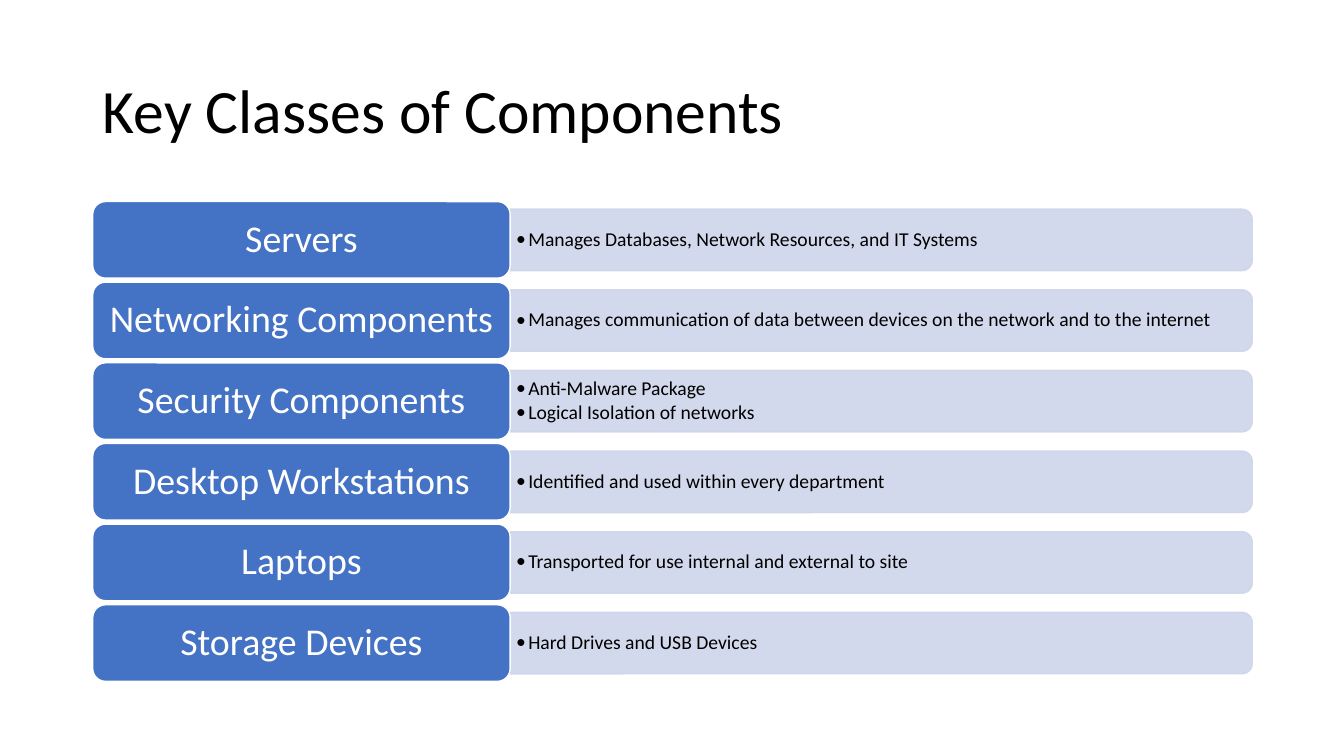
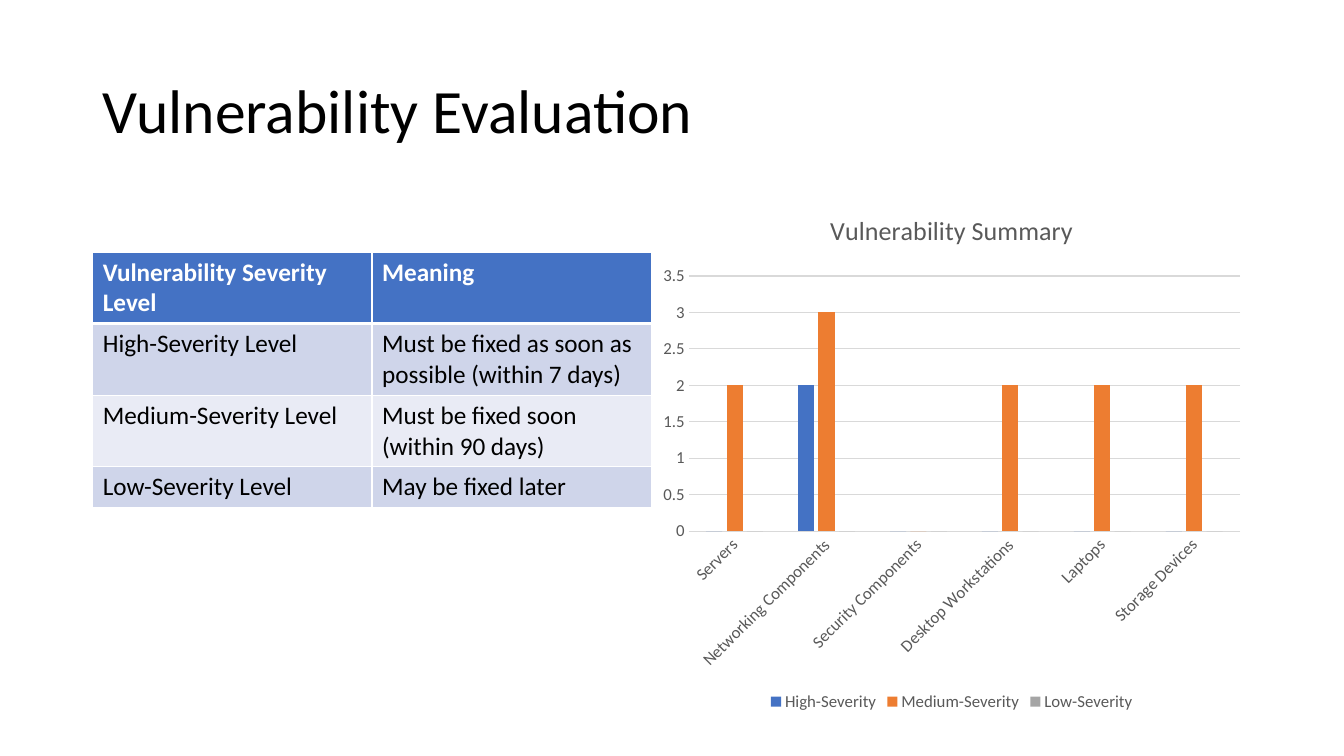
from dataclasses import dataclass

from lxml.etree import SubElement
from pptx import Presentation
from pptx.chart.data import CategoryChartData
from pptx.dml.color import RGBColor
from pptx.enum.chart import XL_CHART_TYPE as ChartType, XL_LEGEND_POSITION as LegendPosition
from pptx.enum.chart import XL_TICK_MARK as TickMark
from pptx.enum.shapes import MSO_SHAPE as Preset
from pptx.enum.text import MSO_ANCHOR as Anchor, PP_ALIGN as Align
from pptx.oxml.ns import qn
from pptx.util import Inches, Pt


@dataclass(frozen=True)
class Theme:
    font: str = "Calibri"
    black: RGBColor = RGBColor.from_string("000000")
    white: RGBColor = RGBColor.from_string("FFFFFF")
    blue: RGBColor = RGBColor.from_string("4472C4")
    orange: RGBColor = RGBColor.from_string("ED7D31")
    gray: RGBColor = RGBColor.from_string("A5A5A5")
    band: RGBColor = RGBColor.from_string("CFD5EA")
    pale_band: RGBColor = RGBColor.from_string("E9EBF5")
    chart_text: RGBColor = RGBColor.from_string("595959")
    chart_line: RGBColor = RGBColor.from_string("D9D9D9")
    title_size: Pt = Pt(44)
    label_size: Pt = Pt(27)
    detail_size: Pt = Pt(14)
    table_size: Pt = Pt(18)
    chart_title_size: Pt = Pt(18.6)
    chart_size: Pt = Pt(12)


theme = Theme()
presentation = Presentation()
presentation.slide_width = Inches(13.33)
presentation.slide_height = Inches(7.5)


def add_run(paragraph, text, size, color, bold=False):
    run = paragraph.add_run()
    run.text = text
    run.font.name = theme.font
    run.font.size = size
    run.font.color.rgb = color
    run.font.bold = bold


def add_titled_slide(text):
    slide = presentation.slides.add_slide(presentation.slide_layouts[5])
    title = slide.shapes.title
    title.left, title.top = Inches(0.92), Inches(0.4)
    title.width, title.height = Inches(11.5), Inches(1.45)
    title.text_frame.vertical_anchor = Anchor.MIDDLE
    paragraph = title.text_frame.paragraphs[0]
    paragraph.alignment = Align.LEFT
    paragraph.line_spacing = 0.9
    add_run(paragraph, text, theme.title_size, theme.black)
    return slide


components = {
    "Servers": ["Manages Databases, Network Resources, and IT Systems"],
    "Networking Components": [
        "Manages communication of data between devices on the network and to the internet"
    ],
    "Security Components": ["Anti-Malware Package", "Logical Isolation of networks"],
    "Desktop Workstations": ["Identified and used within every department"],
    "Laptops": ["Transported for use internal and external to site"],
    "Storage Devices": ["Hard Drives and USB Devices"],
}
label_left, label_width, label_height = 0.92, 4.14, 0.76
bar_left, bar_length, bar_height = label_left + label_width, 7.36, 0.61
detail_height = 0.55
first_top, row_pitch = 2, 0.8

slide = add_titled_slide("Key Classes of Components")
for row, (name, details) in enumerate(components.items()):
    top = first_top + row * row_pitch
    middle = top + label_height / 2

    bar = slide.shapes.add_shape(
        Preset.ROUND_2_SAME_RECTANGLE,
        Inches(bar_left + (bar_length - bar_height) / 2), Inches(middle - bar_length / 2),
        Inches(bar_height), Inches(bar_length))
    bar.rotation = 90
    bar.shadow.inherit = False
    bar.fill.solid()
    bar.fill.fore_color.rgb = theme.band
    bar.line.color.rgb = theme.band
    bar.line.width = Pt(1)
    for color in bar.element.spPr.iter(qn("a:srgbClr")):
        SubElement(color, qn("a:alpha"), val="90000")

    detail_box = slide.shapes.add_textbox(
        Inches(bar_left), Inches(middle - detail_height / 2), Inches(7.33), Inches(detail_height))
    frame = detail_box.text_frame
    frame.word_wrap = True
    frame.vertical_anchor = Anchor.MIDDLE
    frame.margin_left = frame.margin_right = Inches(0.06)
    frame.margin_top = frame.margin_bottom = Inches(0.03)
    for index, detail in enumerate(details):
        paragraph = frame.add_paragraph() if index else frame.paragraphs[0]
        paragraph.line_spacing = 0.9
        paragraph.space_after = Pt(2)
        add_run(paragraph, detail, theme.detail_size, theme.black)
        properties = paragraph._p.get_or_add_pPr()
        properties.set("marL", str(Inches(0.12)))
        properties.set("indent", str(-Inches(0.12)))
        SubElement(properties, qn("a:buFont"), typeface=theme.font)
        SubElement(properties, qn("a:buChar"), char="•")

    label = slide.shapes.add_shape(
        Preset.ROUNDED_RECTANGLE,
        Inches(label_left), Inches(top), Inches(label_width), Inches(label_height))
    label.shadow.inherit = False
    label.fill.solid()
    label.fill.fore_color.rgb = theme.blue
    label.line.color.rgb = theme.white
    label.line.width = Pt(1)
    frame = label.text_frame
    frame.word_wrap = True
    frame.vertical_anchor = Anchor.MIDDLE
    frame.margin_left = frame.margin_right = Inches(0.11)
    frame.margin_top = frame.margin_bottom = Inches(0.06)
    paragraph = frame.paragraphs[0]
    paragraph.alignment = Align.CENTER
    paragraph.line_spacing = 0.9
    add_run(paragraph, name, theme.label_size, theme.white)

severity_rows = [
    ("Vulnerability Severity Level", "Meaning"),
    ("High-Severity Level", "Must be fixed as soon as possible (within 7 days)"),
    ("Medium-Severity Level", "Must be fixed soon (within 90 days)"),
    ("Low-Severity Level", "May be fixed later"),
]
row_fills = [theme.blue, theme.band, theme.pale_band, theme.band]
row_heights = [0.7, 0.7, 0.7, 0.4]

slide = add_titled_slide("Vulnerability Evaluation")
table = slide.shapes.add_table(
    len(severity_rows), 2, Inches(0.92), Inches(2.5), Inches(5.54), Inches(sum(row_heights))).table
for row, texts in enumerate(severity_rows):
    table.rows[row].height = Inches(row_heights[row])
    header = row == 0
    border_widths = {"L": 1, "R": 1, "T": 3 if row == 1 else 1, "B": 3 if header else 1}
    for column, text in enumerate(texts):
        cell = table.cell(row, column)
        for side, width in border_widths.items():
            border = SubElement(
                cell._tc.get_or_add_tcPr(), qn(f"a:ln{side}"), w=str(Pt(width)))
            border_fill = SubElement(border, qn("a:solidFill"))
            SubElement(border_fill, qn("a:srgbClr"), val=str(theme.white))
        cell.fill.solid()
        cell.fill.fore_color.rgb = row_fills[row]
        add_run(cell.text_frame.paragraphs[0], text, theme.table_size,
                theme.white if header else theme.black, header)

severity_counts = {
    "High-Severity": ((0, 2, 0, 0, 0, 0), theme.blue),
    "Medium-Severity": ((2, 3, 0, 2, 2, 2), theme.orange),
    "Low-Severity": ((0, 0, 0, 0, 0, 0), theme.gray),
}
chart_data = CategoryChartData()
chart_data.categories = list(components)
for name, (counts, color) in severity_counts.items():
    chart_data.add_series(name, counts)
chart = slide.shapes.add_chart(
    ChartType.COLUMN_CLUSTERED, Inches(6.46), Inches(1.9), Inches(5.96), Inches(5.2),
    chart_data).chart
chart.font.name = theme.font
chart.font.size = theme.chart_size
chart.font.color.rgb = theme.chart_text
chart.has_title = True
add_run(chart.chart_title.text_frame.paragraphs[0], "Vulnerability Summary",
        theme.chart_title_size, theme.chart_text)
chart.chart_title.include_in_layout = False
chart.has_legend = True
chart.legend.position = LegendPosition.BOTTOM
chart.legend.include_in_layout = False

plot = chart.plots[0]
plot.vary_by_categories = False
plot.gap_width = 219
plot.overlap = -27
for series, (counts, color) in zip(plot.series, severity_counts.values()):
    series.format.fill.solid()
    series.format.fill.fore_color.rgb = color

category_axis, value_axis = chart.category_axis, chart.value_axis
for axis in (category_axis, value_axis):
    axis.major_tick_mark = axis.minor_tick_mark = TickMark.NONE
    axis.tick_labels.font.name = theme.font
    axis.tick_labels.font.size = theme.chart_size
    axis.tick_labels.font.color.rgb = theme.chart_text
category_axis._element.find(qn("c:txPr")).find(qn("a:bodyPr")).set("rot", "-2700000")
value_axis.minimum_scale = 0
value_axis.maximum_scale = 3.5
value_axis.major_unit = 0.5
value_axis.format.line.fill.background()
for line in (category_axis.format.line, value_axis.major_gridlines.format.line):
    line.color.rgb = theme.chart_line
    line.width = Pt(0.75)

presentation.save("out.pptx")
